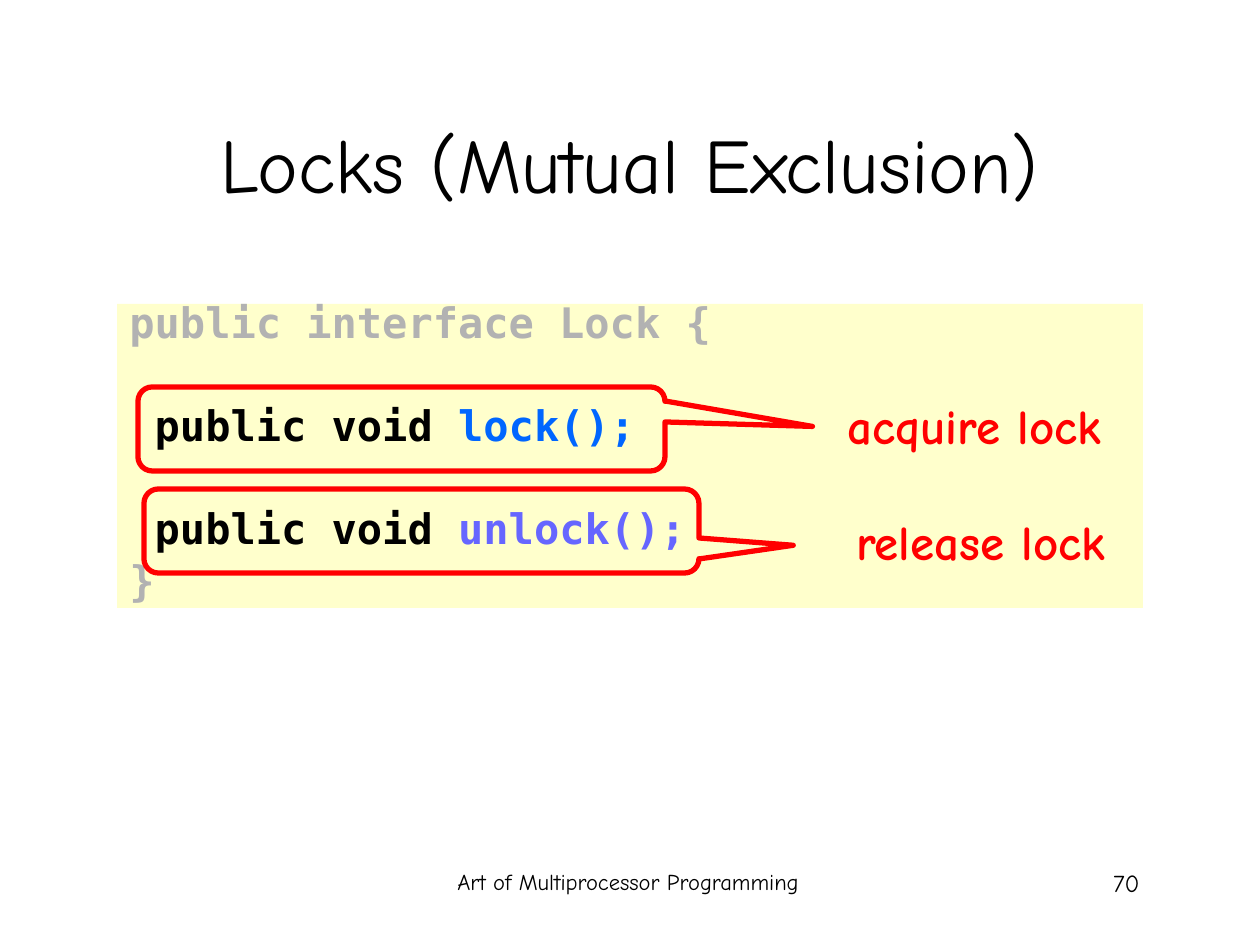
from pptx import Presentation
from pptx.dml.color import RGBColor
from pptx.enum.shapes import MSO_SHAPE
from pptx.enum.text import MSO_ANCHOR, PP_ALIGN
from pptx.util import Emu, Pt

BLACK = RGBColor(0, 0, 0)
RED = RGBColor(255, 0, 0)
GREY = RGBColor(178, 178, 178)
CREAM = RGBColor(255, 255, 204)
BLUE = RGBColor(0, 102, 255)
VIOLET = RGBColor(102, 102, 255)


class Deck:
    scale = 914400 / 126
    font = "Comic Neue"
    mono = "DejaVu Sans Mono"

    def __init__(self, width, height):
        self.deck = Presentation()
        self.deck.slide_width, self.deck.slide_height = self.place(width, height)
        self.slide = self.deck.slides.add_slide(self.deck.slide_layouts[6])

    def place(self, *sizes):
        return [Emu(round(size * self.scale)) for size in sizes]

    def words(self, para, text, **style):
        run = para.add_run()
        run.text = text
        color = style.pop("color", BLACK)
        for name, value in {"name": self.font, **style}.items():
            setattr(run.font, name, value)
        run.font.color.rgb = color

    def label(self, box, text, align=PP_ALIGN.CENTER, anchor=MSO_ANCHOR.TOP, **style):
        frame = self.slide.shapes.add_textbox(*self.place(*box)).text_frame
        frame.word_wrap = True
        frame.vertical_anchor = anchor
        para = frame.paragraphs[0]
        para.alignment = align
        self.words(para, text, **style)

    def shape(self, kind, box):
        shape = self.slide.shapes.add_shape(kind, *self.place(*box))
        shape.shadow.inherit = False
        return shape

    def code(self, box, lines):
        panel = self.shape(MSO_SHAPE.RECTANGLE, box)
        panel.fill.solid()
        panel.fill.fore_color.rgb = CREAM
        panel.line.fill.background()
        frame = panel.text_frame
        frame.vertical_anchor = MSO_ANCHOR.TOP
        for order, (gap, parts) in enumerate(lines):
            para = frame.add_paragraph() if order else frame.paragraphs[0]
            layout = {"alignment": PP_ALIGN.LEFT, "line_spacing": 0.7,
                      "space_before": Pt(gap)}
            for name, value in layout.items():
                setattr(para, name, value)
            for text, color in parts:
                self.words(para, text, name=self.mono, size=Pt(24), bold=True, color=color)

    def callout(self, box, tip):
        bubble = self.shape(MSO_SHAPE.ROUNDED_RECTANGULAR_CALLOUT, box)
        bubble.fill.background()
        bubble.line.color.rgb = RED
        bubble.line.width = Pt(3)
        for order, value in enumerate((*tip, 0.17)):
            bubble.adjustments[order] = value

    def save(self):
        self.deck.save("out.pptx")


def main():
    deck = Deck(1260, 945)
    deck.label((428, 862, 400, 63), "Art of Multiprocessor Programming", size=Pt(12.9))
    deck.label((890, 862, 262, 63), "70", PP_ALIGN.RIGHT, size=Pt(14))
    deck.label((94, 84, 1072, 158), "Locks (Mutual Exclusion)",
               anchor=MSO_ANCHOR.MIDDLE, size=Pt(44))

    near, far = 9.6, 38.7
    deck.code((117, 304, 1026, 304), [
        (0, [("public interface Lock {", GREY)]),
        (far, [(" public void ", BLACK), ("lock();", BLUE)]),
        (far, [(" public void ", BLACK), ("unlock();", VIOLET)]),
        (near, [("}", GREY)]),
    ])

    note = {"size": Pt(28), "bold": True, "color": RED}
    deck.callout((144, 489, 555, 84), (0.67, 0.17))
    deck.label((818, 505, 326, 72), "release lock", **note)
    deck.callout((138, 387, 527, 84), (0.78, -0.03))
    deck.label((806, 389, 337, 72), "acquire lock", **note)
    deck.save()


if __name__ == "__main__":
    main()
